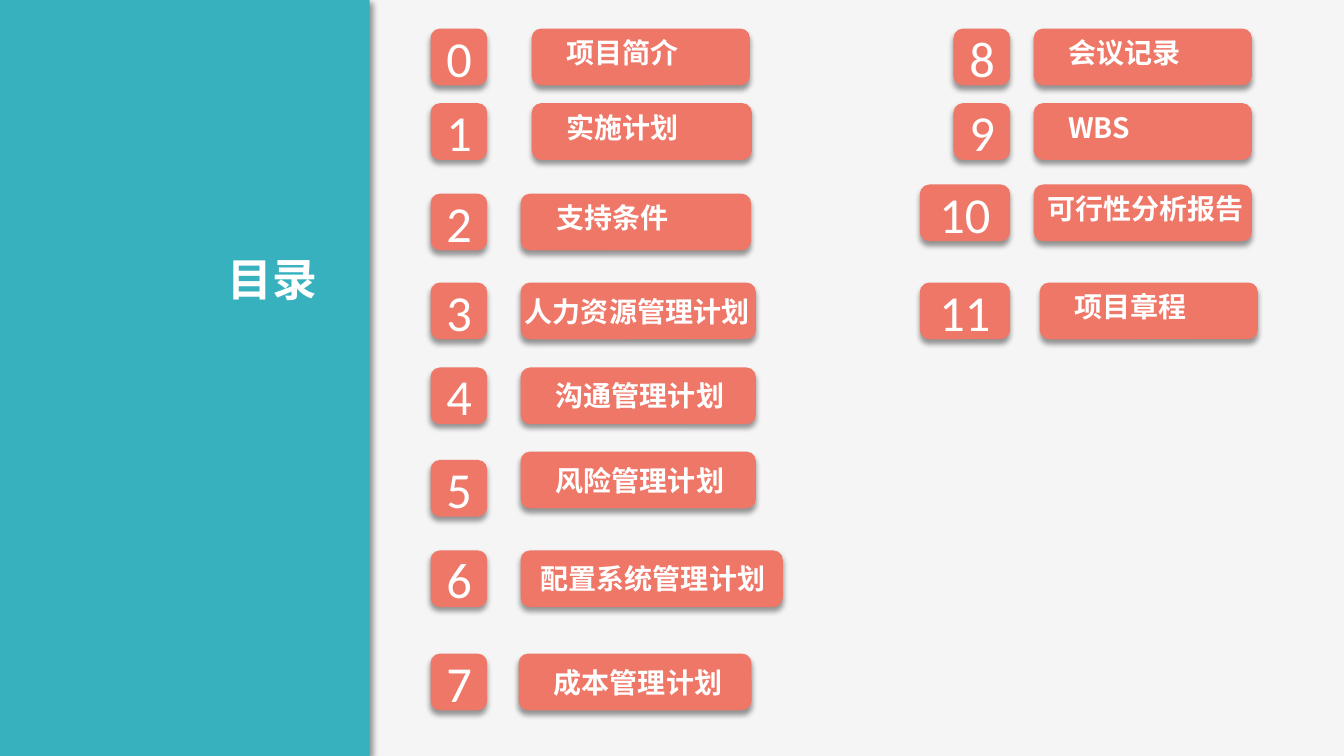
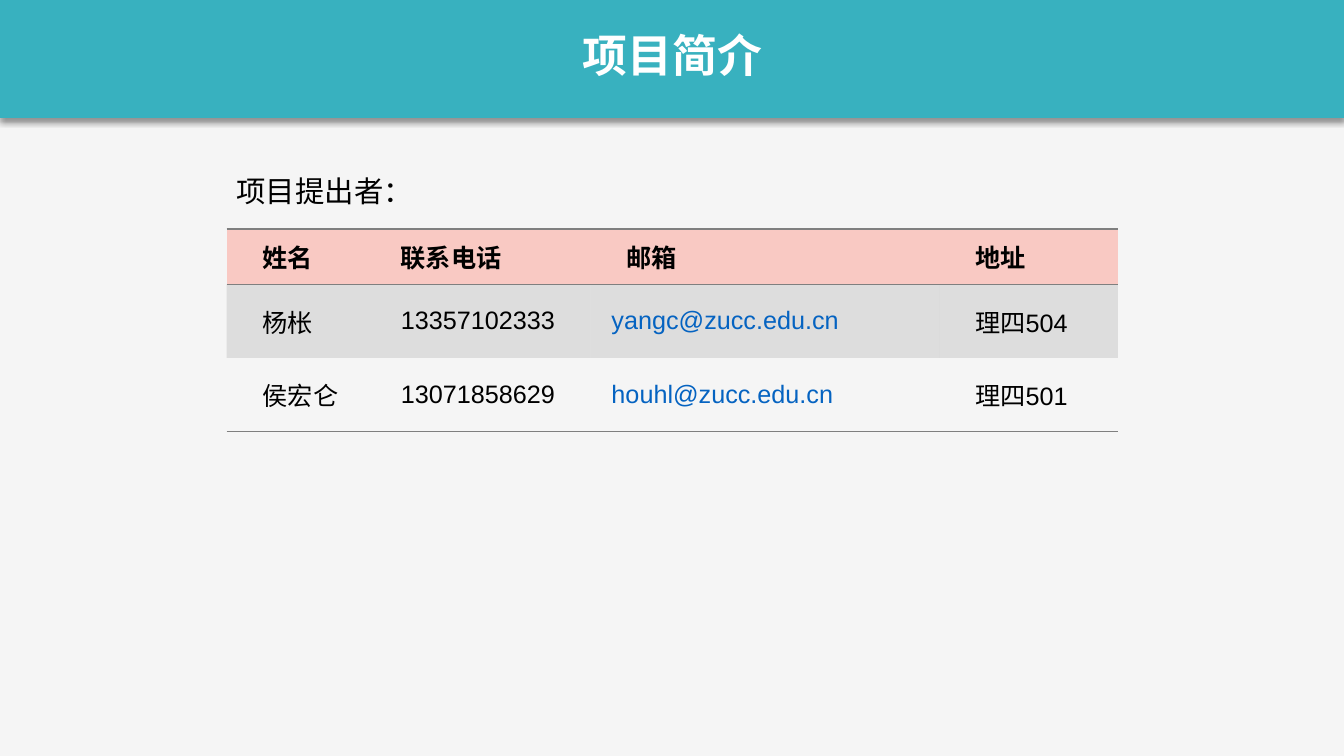
from lxml import etree
from pptx import Presentation
from pptx import util as u
from pptx.dml.color import RGBColor
from pptx.enum import shapes, text
from pptx.oxml import parse_xml
from pptx.oxml.ns import nsdecls, qn

COLORS = {
    "background": "F5F5F5",
    "teal": "38B1BF",
    "coral": "EF7768",
    "pink": "F9C9C3",
    "gray": "7F7F7F",
    "link": "0563C1",
    "white": "FFFFFF",
    "black": "000000",
}
CJK_FONT = "Noto Sans CJK SC"
TITLE_STYLE = dict(size=32, color="white", bold=True)


def add_block(slide, kind, left, top, width, height, color, angle=90):
    """Add a borderless filled shape whose soft shadow falls at the given angle."""
    shape = slide.shapes.add_shape(kind, u.Cm(left), u.Cm(top), u.Cm(width), u.Cm(height))
    shape.fill.solid()
    shape.fill.fore_color.rgb = RGBColor.from_string(COLORS[color])
    shape.line.fill.background()
    shape.shadow.inherit = False
    effects = shape.element.spPr.find(qn("a:effectLst"))
    effects.append(parse_xml(
        f'<a:outerShdw {nsdecls("a")} blurRad="{u.Pt(4)}" dist="{u.Pt(3)}" '
        f'dir="{angle * 60000}" algn="t" rotWithShape="0"><a:srgbClr val="{COLORS["black"]}">'
        '<a:alpha val="40000"/></a:srgbClr></a:outerShdw>'))
    return shape


def write(frame, content, size, color, font=CJK_FONT, bold=False,
          align=text.PP_ALIGN.LEFT, anchor=text.MSO_ANCHOR.TOP, margins=(0.33, 0.18, 0.33, 0.18)):
    """Fill a text frame or table cell; margins run left, top, right, bottom in cm."""
    frame.margin_left, frame.margin_top, frame.margin_right, frame.margin_bottom = map(u.Cm, margins)
    frame.vertical_anchor = anchor
    frame.text = content
    paragraph = getattr(frame, "text_frame", frame).paragraphs[0]
    paragraph.alignment = align
    paragraph.font.size = u.Pt(size)
    paragraph.font.bold = bold
    paragraph.font.color.rgb = RGBColor.from_string(COLORS[color])
    paragraph.font.name = font
    east_asian = etree.SubElement(paragraph._p.pPr.find(qn("a:defRPr")), qn("a:ea"))
    east_asian.set("typeface", CJK_FONT)


presentation = Presentation()
presentation.slide_width = u.Cm(33.87)
presentation.slide_height = u.Cm(19.05)
contents_slide, intro_slide = [
    presentation.slides.add_slide(presentation.slide_layouts[6]) for _ in range(2)]
for slide in (contents_slide, intro_slide):
    slide.background.fill.solid()
    slide.background.fill.fore_color.rgb = RGBColor.from_string(COLORS["background"])

# Contents
add_block(contents_slide, shapes.MSO_SHAPE.RECTANGLE, 0, 0, 9.32, 19.05, "teal", angle=45)
title = contents_slide.shapes.add_textbox(u.Cm(0.53), u.Cm(6.17), u.Cm(7.8), u.Cm(1.7))
title.text_frame.word_wrap = True
write(title.text_frame, "目录", align=text.PP_ALIGN.RIGHT, **TITLE_STYLE)

TILE_HEIGHT = 1.43
LEFT_TILES_END, RIGHT_TILES_END = 12.28, 25.46
# Label, tile right edge, tile top, label left, label top, label width, text indent, text drop
ENTRIES = [
    ("项目简介", LEFT_TILES_END, 0.72, 13.4, 0.72, 5.5, 0.8, 0.11),
    ("实施计划", LEFT_TILES_END, 2.6, 13.4, 2.6, 5.55, 0.8, 0.11),
    ("支持条件", LEFT_TILES_END, 4.88, 13.12, 4.88, 5.81, 0.84, 0.11),
    ("人力资源管理计划", LEFT_TILES_END, 7.12, 13.12, 7.12, 5.93, 0.04, 0.22),
    ("沟通管理计划", LEFT_TILES_END, 9.26, 13.12, 9.26, 5.93, 0.82, 0.22),
    ("风险管理计划", LEFT_TILES_END, 11.59, 13.12, 11.38, 5.93, 0.82, 0.22),
    ("配置系统管理计划", LEFT_TILES_END, 13.87, 13.12, 13.87, 6.61, 0.44, 0.22),
    ("成本管理计划", LEFT_TILES_END, 16.47, 13.07, 16.47, 5.87, 0.82, 0.22),
    ("会议记录", RIGHT_TILES_END, 0.72, 26.05, 0.72, 5.5, 0.8, 0.11),
    ("WBS", RIGHT_TILES_END, 2.6, 26.05, 2.6, 5.5, 0.8, 0.11),
    ("可行性分析报告", RIGHT_TILES_END, 4.65, 26.05, 4.65, 5.5, 0.27, 0.11),
    ("项目章程", RIGHT_TILES_END, 7.12, 26.2, 7.12, 5.5, 0.8, 0.11),
]
for number, (name, tile_end, tile_top, left, top, width, indent, drop) in enumerate(ENTRIES):
    tile_width = TILE_HEIGHT if number < 10 else 2.28
    tile = add_block(contents_slide, shapes.MSO_SHAPE.ROUNDED_RECTANGLE,
                     tile_end - tile_width, tile_top, tile_width, TILE_HEIGHT, "coral")
    write(tile.text_frame, str(number), 36, "white", font="Calibri",
          align=text.PP_ALIGN.CENTER, anchor=text.MSO_ANCHOR.MIDDLE)
    label = add_block(contents_slide, shapes.MSO_SHAPE.ROUNDED_RECTANGLE,
                      left, top, width, TILE_HEIGHT, "coral")
    write(label.text_frame, name, 20, "white", bold=True, margins=(indent, drop, 0, 0))

# Project introduction
add_block(intro_slide, shapes.MSO_SHAPE.RECTANGLE, 0, -0.15, 33.87, 3.12, "teal")
title = intro_slide.shapes.add_textbox(u.Cm(14.43), u.Cm(0.58), u.Cm(5.03), u.Cm(1.63))
title.text_frame.word_wrap = False
write(title.text_frame, "项目简介", align=text.PP_ALIGN.CENTER,
      margins=(0.25, 0.13, 0.25, 0.13), **TITLE_STYLE)

caption = intro_slide.shapes.add_textbox(u.Cm(5.71), u.Cm(4.24), u.Cm(10.03), u.Cm(1.14))
caption.text_frame.word_wrap = True
write(caption.text_frame, "项目提出者：", 21, "black", font="Calibri",
      margins=(0.25, 0.13, 0.25, 0.13))

CONTACTS = [
    ("姓名", "联系电话", "邮箱", "地址"),
    ("杨枨", "13357102333", "yangc@zucc.edu.cn", "理四504"),
    ("侯宏仑", "13071858629", "houhl@zucc.edu.cn", "理四501"),
]
COLUMN_WIDTHS = [3.48, 5.69, 8.79, 4.5]
ROW_HEIGHTS = [1.4, 1.85, 1.85]
BORDERS = [("lnB", "lnT"), (), ("lnB",)]
table = intro_slide.shapes.add_table(
    len(CONTACTS), len(COLUMN_WIDTHS), u.Cm(5.71), u.Cm(5.77),
    u.Cm(sum(COLUMN_WIDTHS)), u.Cm(sum(ROW_HEIGHTS))).table
table.first_row = table.horz_banding = False
NO_STYLE_NO_GRID = "{2D5ABB26-0587-4C30-8999-92F81FD0307C}"
table._tbl.tblPr.find(qn("a:tableStyleId")).text = NO_STYLE_NO_GRID
for column, width in zip(table.columns, COLUMN_WIDTHS):
    column.width = u.Cm(width)
for row_index, (row, values) in enumerate(zip(table.rows, CONTACTS)):
    row.height = u.Cm(ROW_HEIGHTS[row_index])
    for cell, value in zip(row.cells, values):
        is_email = "@" in value
        write(cell, value, 18, "link" if is_email else "black", font="Arial",
              bold=row_index == 0, anchor=text.MSO_ANCHOR.MIDDLE,
              margins=(0.53 if is_email else 0.91, 0, 0.18, 0))
        properties = cell._tc.get_or_add_tcPr()
        if row_index == 2:
            cell.fill.background()
        else:
            cell.fill.solid()
            cell.fill.fore_color.rgb = RGBColor.from_string(COLORS["gray" if row_index else "pink"])
        if row_index == 1:
            fill_color = properties.find(qn("a:solidFill"))[0]
            etree.SubElement(fill_color, qn("a:alpha")).set("val", "20000")
        for side in BORDERS[row_index]:
            properties.insert(0, parse_xml(
                f'<a:{side} {nsdecls("a")} w="{u.Pt(1)}"><a:solidFill>'
                f'<a:srgbClr val="{COLORS["gray"]}"/></a:solidFill></a:{side}>'))

presentation.save("out.pptx")
